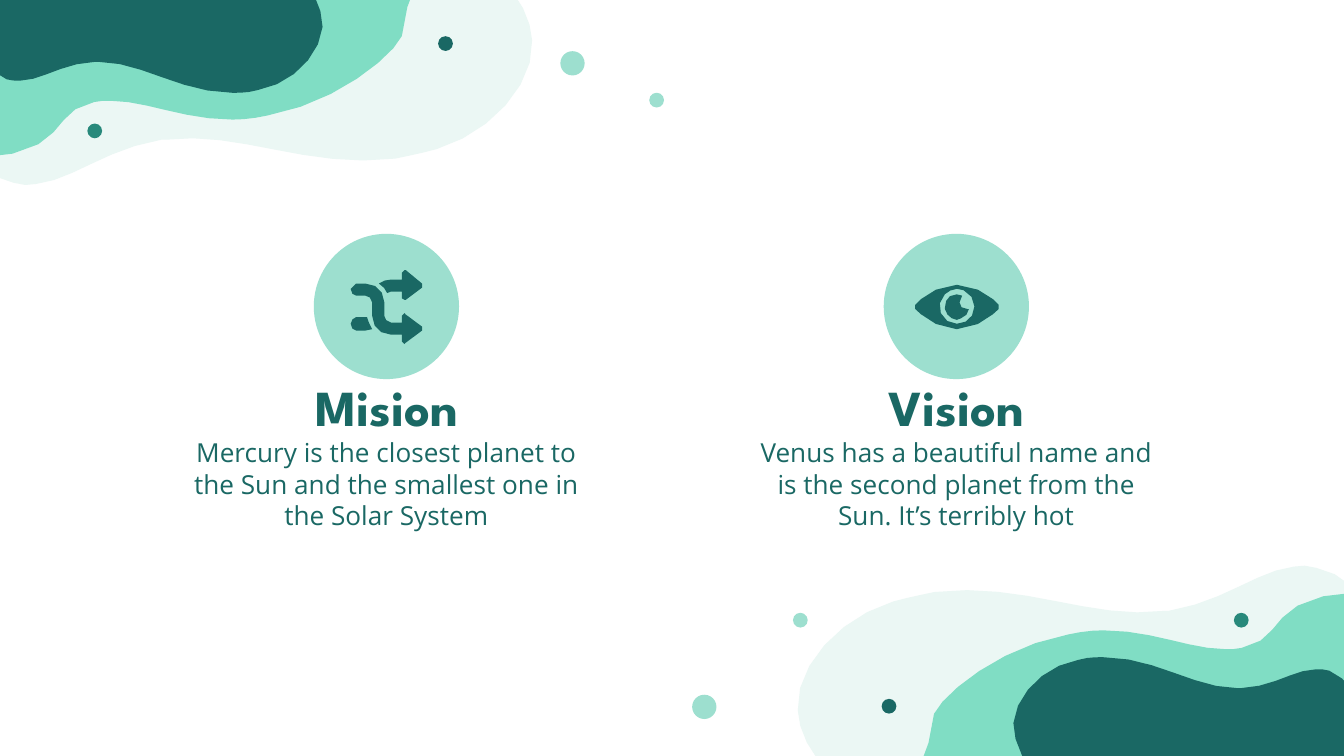
import math
from dataclasses import dataclass

import pptx
import pptx.dml.color
import pptx.enum.shapes
import pptx.enum.text
import pptx.util

Pt = pptx.util.Pt
Point = tuple[float, float]
# A contour is a start point, then lines (x, y) and curves (x1, y1, x2, y2, x, y).
Contour = list[tuple[float, ...]]

COLORS = {"pale": "EBF7F4", "mint": "9DDFCF", "green": "80DDC4",
          "teal": "28897B", "dark": "1A6864"}
RING_SIZE = 77.8
COLUMN_WIDTH = 226.8


@dataclass
class Blob:
    color: str
    half_turn: Point  # sum of the coordinates of a point and its turned twin
    contour: Contour


@dataclass
class Dot:
    left: float
    top: float
    size: float
    color: str


@dataclass
class Column:
    left: float
    title: str
    body: str
    icon: list[list[Contour]]


BLOBS = [
    Blob("pale", (712.5, 402.2), [
        (211.7, 85), (218.9, 83.5, 226.1, 82.1, 234, 79.9),
        (262.8, 71.3, 286.6, 45.4, 285.1, 21.6), (284.4, 5.8, 271.4, -16.6, 244.1, -25.2),
        (217.4, -28.1), (198.7, -23.8), (-20.9, 27.4), (-41.8, 29.5), (-28.1, 65.5),
        (-22.3, 77, -10.1, 95, 7.2, 97.9),
        (11.5, 99.4, 15.8, 99.4, 19.4, 98.6), (38.9, 96.5, 56.2, 79.9, 86.4, 74.9),
        (88.6, 74.9), (128.2, 69.8, 164.2, 90.7, 211.7, 85)]),
    Blob("green", (715.7, 401.8), [
        (102.2, -13), (221, -3.6),
        (217.4, 2.2, 216.7, 14.4, 215.3, 19.4), (210.2, 30.2, 180, 55.4, 143.3, 61.9),
        (136.8, 63.4, 130.3, 64.1, 124.6, 64.1), (97.9, 64.1, 78.5, 54, 59, 54),
        (56.2, 54, 53.3, 54, 50.4, 54.7), (24.5, 59.8, 40.3, 82.8, -15.8, 85),
        (-12.2, -6.5)]),
    Blob("dark", (715.7, 401.8), [
        (124.6, 49.7), (128.9, 49.7, 133.2, 49.7, 138.2, 48.2),
        (155.5, 45.4, 171.4, 30.2, 172.8, 14.4), (172.8, 4.3, 167, -11.5, 151.9, -19.4),
        (136.1, -23), (125.3, -22.3), (-7.9, -6.5), (-20.2, -6.5), (-15.1, 18),
        (-13, 25.9, -6.5, 38.9, 3.6, 42.5),
        (5.8, 43.2, 7.9, 43.2, 10.8, 43.2), (22.3, 43.2, 33.1, 33.8, 51.1, 33.1),
        (52.6, 33.1), (76.3, 33.1, 96.5, 49.7, 124.6, 49.7)]),
]

DOTS = [
    Dot(300.2, 27.4, 13, "mint"), Dot(46.8, 66.2, 7.9, "teal"),
    Dot(347.8, 49.7, 7.9, "mint"), Dot(234.7, 19.4, 7.9, "dark"),
    Dot(370.8, 372.2, 13, "mint"), Dot(661, 328.3, 7.9, "teal"),
    Dot(424.8, 328.3, 7.9, "mint"), Dot(472.3, 374.4, 7.9, "dark"),
]

SHUFFLE_ICON = [
    [[(190.8, 151.9), (189.4, 151.9, 187.9, 153.4, 187.9, 154.8),
      (187.9, 157, 189.4, 158.4, 190.8, 158.4), (195.8, 158.4),
      (197.3, 158.4, 199.4, 159.8, 199.4, 162), (199.4, 169.2),
      (199.4, 175, 203.8, 179.3, 209.5, 179.3), (215.3, 179.3), (215.3, 182.9),
      (215.3, 183.6, 216, 184.3, 216.7, 184.3), (217.4, 183.6), (226.1, 177.1),
      (226.8, 176.4, 226.8, 175.7, 226.1, 175), (217.4, 168.5), (216.7, 167.8),
      (216, 167.8, 215.3, 168.5, 215.3, 169.2), (215.3, 172.8), (209.5, 172.8),
      (207.4, 172.8, 205.9, 170.6, 205.9, 169.2), (205.9, 162),
      (205.9, 156.2, 201.6, 151.9, 195.8, 151.9)]],
    [[(196.6, 169.9), (190.8, 169.9), (189.4, 169.9, 187.9, 172.1, 187.9, 173.5),
      (187.9, 175.7, 189.4, 177.1, 190.8, 177.1), (195.8, 177.1),
      (199.4, 176.4), (198, 174.2, 197.3, 172.1, 196.6, 169.9)]],
    [[(216.7, 144.7), (216, 144.7, 215.3, 145.4, 215.3, 146.2), (215.3, 149.8),
      (209.5, 149.8), (207.4, 149.8, 204.5, 150.5, 203, 151.9),
      (205.2, 153.4, 206.6, 154.8, 207.4, 157), (209.5, 156.2),
      (215.3, 156.2), (215.3, 159.8), (215.3, 160.6, 216, 160.6, 216.7, 160.6),
      (217.4, 160.6), (226.1, 154.1), (226.8, 153.4, 226.8, 152.6, 226.1, 151.9),
      (217.4, 144.7)]],
]

EYE_ICON = [
    [[(512.6, 154.8), (514.1, 154.8, 515.5, 155.5, 516.2, 155.5),
      (519.8, 157, 522, 160.6, 522, 164.2), (522, 169.9, 517.7, 173.5, 512.6, 173.5),
      (509, 173.5, 505.4, 171.4, 504, 167.8), (502.6, 164.2, 503.3, 160.6, 506.2, 157.7),
      (507.6, 156.2, 510.5, 154.8, 512.6, 154.8)],
     [(512.6, 152.6), (500.4, 152.6, 490.3, 162.7, 490.3, 163.4),
      (489.6, 164.2, 489.6, 164.9, 490.3, 165.6), (490.3, 165.6, 500.4, 176.4, 512.6, 176.4),
      (524.9, 176.4, 535, 165.6, 535, 165.6), (535.7, 164.9, 535.7, 164.2, 535, 163.4),
      (535, 162.7, 524.9, 152.6, 512.6, 152.6)]],
    [[(512.6, 157.7), (509.8, 157.7, 507.6, 159.1, 506.9, 161.3),
      (505.4, 164.2, 506.2, 167, 507.6, 168.5), (509, 169.9, 510.5, 171.4, 512.6, 171.4),
      (514.8, 170.6), (517, 169.9, 519.1, 167.8, 519.1, 165.6),
      (518.4, 165.6), (515.5, 165.6, 514.1, 164.2, 514.1, 162),
      (514.1, 160.6, 514.8, 159.1, 515.5, 158.4), (512.6, 157.7)]],
]

COLUMNS = [
    Column(93.6, "Mision", "Mercury is the closest planet to the Sun and the smallest one "
           "in the Solar System", SHUFFLE_ICON),
    Column(398.9, "Vision", "Venus has a beautiful name and is the second planet from the "
           "Sun. It’s terribly hot", EYE_ICON),
]

MIDDLE = pptx.enum.text.MSO_ANCHOR.MIDDLE
TOP = pptx.enum.text.MSO_ANCHOR.TOP
TITLE_FONT = {"name": "League Spartan", "size": Pt(27), "bold": True}
BODY_FONT = {"name": "Open Sans", "size": Pt(14), "bold": False}


def rgb(color: str) -> pptx.dml.color.RGBColor:
    return pptx.dml.color.RGBColor.from_string(COLORS[color])


def paint(shape, color: str) -> None:
    shape.shadow.inherit = False
    shape.fill.solid()
    shape.fill.fore_color.rgb = rgb(color)
    shape.line.fill.background()


def flatten(contour: Contour) -> list[Point]:
    """Turn lines and cubic curves into points, with more steps on longer curves."""
    points = [contour[0]]
    for segment in contour[1:]:
        if len(segment) == 2:
            points.append(segment)
            continue
        controls = [points[-1], segment[:2], segment[2:4], segment[4:]]
        steps = max(1, round(0.7 * math.sqrt(math.dist(controls[0], controls[3]))))
        for step in range(1, steps + 1):
            t = step / steps
            weights = ((1 - t) ** 3, 3 * t * (1 - t) ** 2, 3 * t * t * (1 - t), t ** 3)
            points.append(tuple(sum(w * c[axis] for w, c in zip(weights, controls))
                                for axis in (0, 1)))
    return points


def draw_outline(slide, outlines: list[list[Point]], color: str) -> None:
    scaled = [[(Pt(x), Pt(y)) for x, y in points] for points in outlines]
    builder = slide.shapes.build_freeform(*scaled[0][0])
    for index, points in enumerate(scaled):
        if index:
            builder.move_to(*points[0])
        builder.add_line_segments(points[1:], close=True)
    paint(builder.convert_to_shape(), color)


def draw_circle(slide, dot: Dot) -> None:
    shape = slide.shapes.add_shape(pptx.enum.shapes.MSO_SHAPE.OVAL, Pt(dot.left),
                                   Pt(dot.top), Pt(dot.size), Pt(dot.size))
    paint(shape, dot.color)


def draw_text(slide, text: str, left: float, top: float, height: float,
              font_format: dict, anchor) -> None:
    box = slide.shapes.add_textbox(Pt(left), Pt(top), Pt(COLUMN_WIDTH), Pt(height))
    frame_format = {"word_wrap": True, "vertical_anchor": anchor, "margin_left": Pt(7.2),
                    "margin_right": Pt(7.2), "margin_top": Pt(7.2), "margin_bottom": Pt(7.2)}
    for name, value in frame_format.items():
        setattr(box.text_frame, name, value)
    paragraph = box.text_frame.paragraphs[0]
    paragraph.alignment = pptx.enum.text.PP_ALIGN.CENTER
    run = paragraph.add_run()
    run.text = text
    for name, value in font_format.items():
        setattr(run.font, name, value)
    run.font.color.rgb = rgb("dark")


def draw_column(slide, column: Column) -> None:
    ring_left = column.left + (COLUMN_WIDTH - RING_SIZE) / 2
    draw_circle(slide, Dot(ring_left, 125.3, RING_SIZE, "mint"))
    for part in column.icon:
        draw_outline(slide, [flatten(contour) for contour in part], "dark")
    draw_text(slide, column.title, column.left, 203.8, 28.1, TITLE_FONT, MIDDLE)
    draw_text(slide, column.body, column.left, 226.8, 61.9, BODY_FONT, TOP)


def main() -> None:
    presentation = pptx.Presentation()
    presentation.slide_width, presentation.slide_height = Pt(720), Pt(405)
    slide = presentation.slides.add_slide(presentation.slide_layouts[6])
    for blob in BLOBS:
        points = flatten(blob.contour)
        total_x, total_y = blob.half_turn
        draw_outline(slide, [points], blob.color)
        draw_outline(slide, [[(total_x - x, total_y - y) for x, y in points]], blob.color)
    for dot in DOTS:
        draw_circle(slide, dot)
    for column in COLUMNS:
        draw_column(slide, column)
    presentation.save("out.pptx")


if __name__ == "__main__":
    main()
